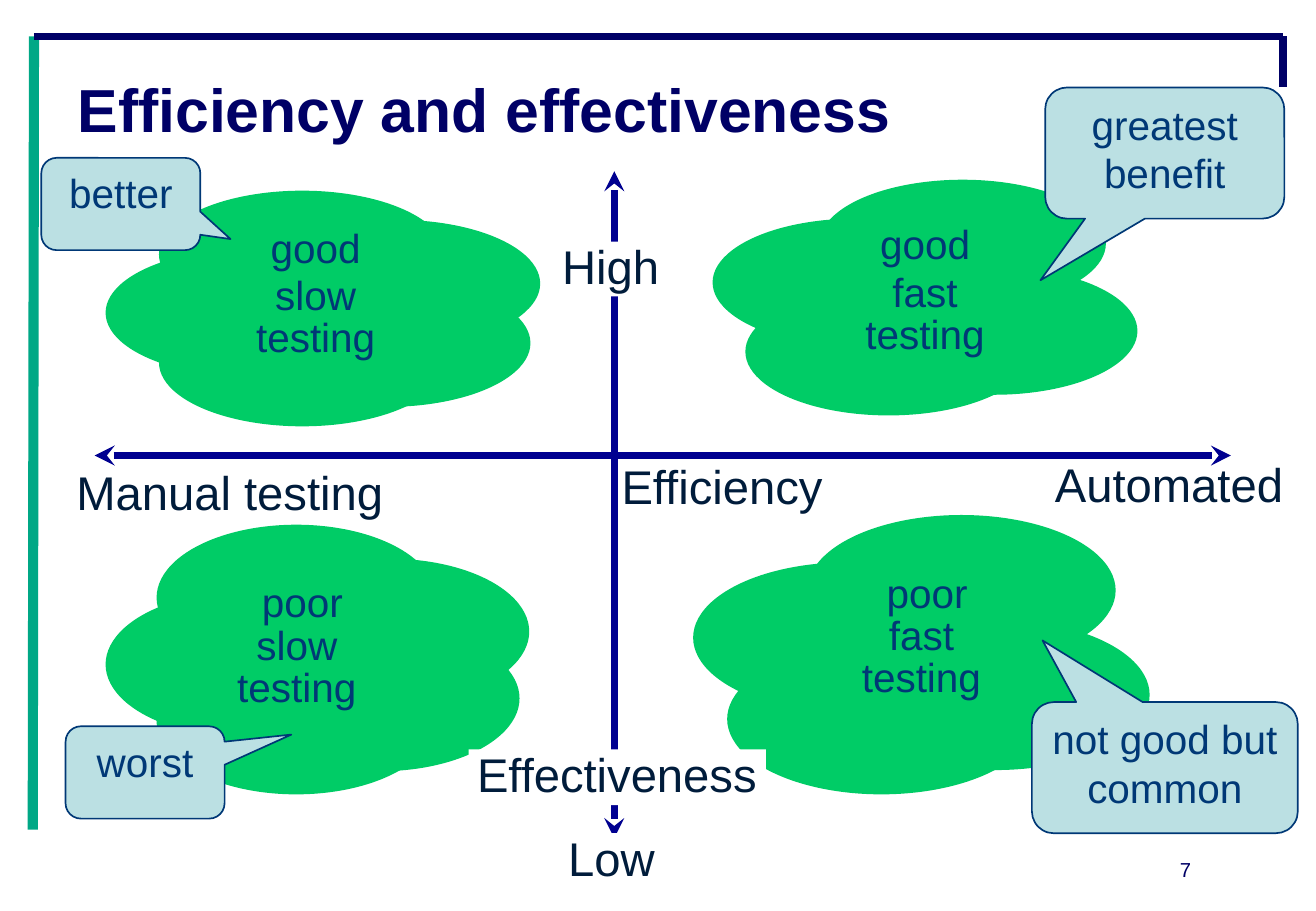
from lxml import etree
from pptx import Presentation
from pptx.dml.color import RGBColor
from pptx.enum.shapes import MSO_CONNECTOR, MSO_SHAPE
from pptx.enum.text import MSO_ANCHOR, MSO_AUTO_SIZE, PP_ALIGN
from pptx.oxml.ns import qn
from pptx.util import Inches, Pt

ELLIPSE = MSO_SHAPE.OVAL
CALLOUT = MSO_SHAPE.ROUNDED_RECTANGULAR_CALLOUT
STRAIGHT = MSO_CONNECTOR.STRAIGHT
TOP, MIDDLE = MSO_ANCHOR.TOP, MSO_ANCHOR.MIDDLE
LEFT, CENTER = PP_ALIGN.LEFT, PP_ALIGN.CENTER
NO_AUTOFIT = MSO_AUTO_SIZE.NONE

NAVY = RGBColor(0x00, 0x00, 0x66)
TEAL = RGBColor(0x00, 0xA8, 0x86)
GREEN = RGBColor(0x00, 0xCC, 0x66)
AXIS_BLUE = RGBColor(0x00, 0x00, 0x90)
TEXT_BLUE = RGBColor(0x00, 0x38, 0x76)
DARK = RGBColor(0x00, 0x1C, 0x3B)
PALE_BLUE = RGBColor(0xBB, 0xE0, 0xE3)
WHITE = RGBColor(0xFF, 0xFF, 0xFF)
FONT = "Arial"
TIGHT = (0.07, 0.03)
ROOMY = (0.1, 0.05)

TITLE = "Efficiency and effectiveness"
PAGE_NUMBER = "7"
FRAME = [
    ((0.28, 0.3), (0.27, 6.83), TEAL, 6),
    ((0.28, 0.3), (10.57, 0.3), NAVY, 4.5),
    ((10.57, 0.3), (10.57, 0.72), NAVY, 4.5),
]
AXES = [((5.06, 1.41), (5.06, 6.9)), ((0.78, 3.75), (10.14, 3.75))]
AXIS_LABELS = [
    ("Effectiveness", (3.86, 6.17, 2.45, 0.46), WHITE),
    ("Low", (4.61, 6.86, 0.85, 0.45), WHITE),
    ("High", (4.56, 1.99, 0.94, 0.45), WHITE),
    ("Efficiency", (5.05, 3.8, 1.8, 0.46), None),
    ("Manual testing", (0.56, 3.85, 2.66, 0.45), None),
    ("Automated", (8.62, 3.78, 2.02, 0.45), None),
]
CLOUDS = [
    {"puff": (2.36, 1.05), "label": (7.06, 1.83, 1.12, 1.13), "first_gap": 3,
     "lines": ["good", "fast", "testing"],
     "corners": [(5.87, 1.8), (6.75, 1.48), (7.01, 2.2), (6.14, 2.37)]},
    {"puff": (2.36, 1.05), "label": (2.04, 1.86, 1.12, 1.14), "first_gap": 3,
     "lines": ["good", "slow", "testing"],
     "corners": [(2.01, 2.3), (0.87, 2.05), (2.09, 1.81), (1.31, 1.57), (1.31, 2.46)]},
    {"puff": (2.54, 1.24), "label": (6.98, 4.7, 1.22, 1.1), "first_gap": 0,
     "lines": [" poor", "fast", "testing"],
     "corners": [(5.71, 4.63), (6.65, 4.24), (6.93, 5.1), (5.99, 5.3)]},
    {"puff": (2.3, 1.2), "label": (1.65, 4.78, 1.59, 1.1), "first_gap": 0,
     "lines": [" poor", "slow", "testing"],
     "corners": [(1.98, 5.15), (0.87, 4.87), (2.06, 4.6), (1.29, 4.32), (1.29, 5.34)]},
]
VERDICTS = [
    (["greatest", "benefit"], (8.61, 0.72, 1.97, 1.08), (-0.52, 0.97)),
    (["not good but common"], (8.5, 5.78, 2.19, 1.08), (-0.46, -0.97)),
    (["worst"], (0.54, 5.98, 1.31, 0.76), (0.92, -0.41)),
    (["better"], (0.34, 1.3, 1.31, 0.76), (0.69, 0.38)),
]


def inches(values):
    return [Inches(value) for value in values]


def write(frame, lines, size, color, align=LEFT, insets=ROOMY, wrap=True, spacing=None):
    frame.word_wrap = wrap
    frame.auto_size = NO_AUTOFIT
    frame.vertical_anchor = TOP
    frame.margin_left = frame.margin_right = Inches(insets[0])
    frame.margin_top = frame.margin_bottom = Inches(insets[1])
    for number, line in enumerate(lines):
        paragraph = frame.add_paragraph() if number else frame.paragraphs[0]
        paragraph.text = line
        paragraph.alignment = align
        if spacing:
            paragraph.line_spacing = spacing
        paragraph.font.name = FONT
        paragraph.font.size = Pt(size)
        paragraph.font.color.rgb = color


def add_label(slide, lines, box, fill, **style):
    label = slide.shapes.add_textbox(*inches(box))
    if fill is not None:
        label.fill.solid()
        label.fill.fore_color.rgb = fill
    write(label.text_frame, lines, insets=TIGHT, wrap=False, spacing=0.87, **style)
    return label


def add_line(slide, start, end, color, width, arrows=False):
    line = slide.shapes.add_connector(STRAIGHT, *inches(start + end))
    line.line.color.rgb = color
    line.line.width = Pt(width)
    if arrows:
        outline = line.line._get_or_add_ln()
        for tag in ("a:headEnd", "a:tailEnd"):
            etree.SubElement(outline, qn(tag), type="stealth")
    etree.SubElement(line._element.spPr, qn("a:effectLst"))


def add_filled(slide, preset, box, fill):
    shape = slide.shapes.add_shape(preset, *inches(box))
    shape.shadow.inherit = False
    shape.fill.solid()
    shape.fill.fore_color.rgb = fill
    shape.line.fill.background()
    return shape


def add_cloud(slide, cloud):
    for corner in cloud["corners"]:
        add_filled(slide, ELLIPSE, corner + cloud["puff"], GREEN)
    label = add_label(slide, cloud["lines"], cloud["label"], GREEN,
                      size=24, color=TEXT_BLUE, align=CENTER)
    label.text_frame.paragraphs[0].space_after = Pt(cloud["first_gap"])


def add_verdict(slide, lines, box, pointer):
    verdict = add_filled(slide, CALLOUT, box, PALE_BLUE)
    verdict.line.color.rgb = TEXT_BLUE
    verdict.line.width = Pt(1)
    verdict.adjustments[0], verdict.adjustments[1] = pointer
    write(verdict.text_frame, lines, 24, TEXT_BLUE, CENTER)


def main():
    """Build the efficiency and effectiveness quadrant slide."""
    deck = Presentation()
    deck.slide_width, deck.slide_height = inches((10.84, 7.5))
    slide = deck.slides.add_slide(deck.slide_layouts[5])

    title = slide.shapes.title
    title.left, title.top, title.width, title.height = inches((0.54, 0.3, 10.03, 1.19))
    write(title.text_frame, [TITLE], 36, NAVY)
    title.text_frame.vertical_anchor = MIDDLE
    title.text_frame.paragraphs[0].font.bold = True

    page = slide.shapes.add_textbox(*inches((9.62, 7.01, 0.96, 0.3)))
    write(page.text_frame, [PAGE_NUMBER], 12, NAVY)

    for start, end, color, width in FRAME:
        add_line(slide, start, end, color, width)
    for cloud in CLOUDS:
        add_cloud(slide, cloud)
    for start, end in AXES:
        add_line(slide, start, end, AXIS_BLUE, 4, arrows=True)
    for text, box, fill in AXIS_LABELS:
        add_label(slide, [text], box, fill, size=28, color=DARK)
    for lines, box, pointer in VERDICTS:
        add_verdict(slide, lines, box, pointer)

    deck.save("out.pptx")


if __name__ == "__main__":
    main()
